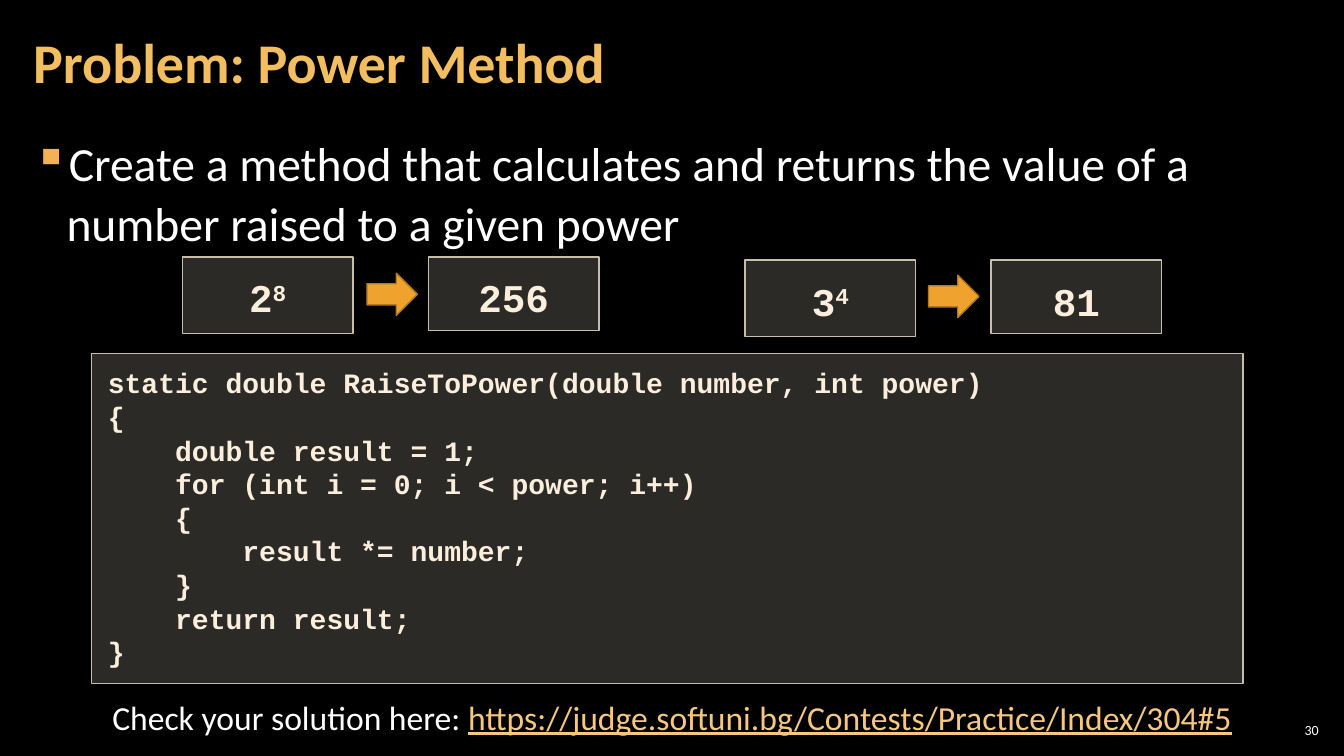
from dataclasses import dataclass

from lxml.etree import SubElement
from pptx import Presentation
from pptx.dml.color import RGBColor
from pptx.enum.shapes import MSO_SHAPE
from pptx.enum.text import MSO_ANCHOR, PP_ALIGN
from pptx.oxml.ns import qn
from pptx.util import Inches, Pt

WHITE = "FFFFFF"
CREAM = "FBEEDC"
CODE_FONT = "Courier New"
TEXT_FONT = "Calibri"


@dataclass
class Span:
    text: str
    format: dict
    color: str = WHITE
    superscript: bool = False


@dataclass
class Example:
    left: float
    top: float
    base: str
    exponent: str
    result: str
    arrow_left: float
    arrow_top: float


EXAMPLES = [
    Example(1.81, 2.55, "2", "8", "256", 3.64, 2.71),
    Example(7.39, 2.58, "3", "4", "81", 9.21, 2.73),
]
RESULT_OFFSET = 2.44

CODE = """static double RaiseToPower(double number, int power)
{
    double result = 1;
    for (int i = 0; i < power; i++)
    {
        result *= number;
    }
    return result;
}"""


def rgb(color: str) -> RGBColor:
    return RGBColor.from_string(color)


def text_format(name: str, size: float, **extra) -> dict:
    return {"name": name, "size": Pt(size), **extra}


def write(shape, lines: list[list[Span]], insets: tuple[float, float],
          anchor=MSO_ANCHOR.TOP, **paragraph_format) -> None:
    """Fill a shape with paragraphs, each a list of spans."""
    frame = shape.text_frame
    horizontal, vertical = map(Inches, insets)
    frame_format = {
        "word_wrap": True, "vertical_anchor": anchor,
        "margin_left": horizontal, "margin_right": horizontal,
        "margin_top": vertical, "margin_bottom": vertical,
    }
    for name, value in frame_format.items():
        setattr(frame, name, value)
    for index, spans in enumerate(lines):
        paragraph = frame.add_paragraph() if index else frame.paragraphs[0]
        for name, value in paragraph_format.items():
            setattr(paragraph, name, value)
        for span in spans:
            run = paragraph.add_run()
            run.text = span.text
            for name, value in span.format.items():
                setattr(run.font, name, value)
            run.font.color.rgb = rgb(span.color)
            if span.superscript:
                run._r.get_or_add_rPr().set("baseline", "30000")


def add_text(slide, box: tuple, spans: list[Span], insets: tuple[float, float],
             **options):
    shape = slide.shapes.add_textbox(*map(Inches, box))
    write(shape, [spans], insets, **options)
    return shape


def add_figure(slide, kind, box: tuple, fill: str, line: str):
    shape = slide.shapes.add_shape(kind, *map(Inches, box))
    shape.shadow.inherit = False
    shape.fill.solid()
    shape.fill.fore_color.rgb = rgb(fill)
    shape.line.color.rgb = rgb(line)
    shape.line.width = Pt(1)
    return shape


def add_panel(slide, box: tuple, lines: list[list[Span]],
              insets: tuple[float, float], **options) -> None:
    """Draw a thin-bordered rectangle with a 20 % opaque fill."""
    shape = add_figure(slide, MSO_SHAPE.RECTANGLE, box, "D9D5C7", "C7BFAC")
    fill_color = shape.fill._xPr.find(qn("a:solidFill"))[0]
    SubElement(fill_color, qn("a:alpha")).set("val", "20000")
    write(shape, lines, insets, **options)


def add_bullet(paragraph, character: str, color: str, indent: float) -> None:
    properties = paragraph._p.get_or_add_pPr()
    properties.set("marL", str(Inches(indent)))
    properties.set("indent", str(-Inches(indent)))
    bullet_color = SubElement(properties, qn("a:buClr"))
    SubElement(bullet_color, qn("a:srgbClr")).set("val", color)
    SubElement(properties, qn("a:buChar")).set("char", character)


def add_example(slide, example: Example) -> None:
    style = text_format(CODE_FONT, 28, bold=True)
    power = [Span(example.base, style, CREAM),
             Span(example.exponent, style, CREAM, superscript=True)]
    result = [Span(example.result, style, CREAM)]
    for offset, height, spans in ((0, 0.76, power), (RESULT_OFFSET, 0.73, result)):
        add_panel(slide, (example.left + offset, example.top, 1.69, height),
                  [spans], (0.2, 0.12), alignment=PP_ALIGN.CENTER, line_spacing=1.1)
    add_figure(slide, MSO_SHAPE.RIGHT_ARROW,
               (example.arrow_left, example.arrow_top, 0.5, 0.42), "F0A22E", "B27822")


def main() -> None:
    presentation = Presentation()
    presentation.slide_width = Inches(13.33)
    presentation.slide_height = Inches(7.5)
    slide = presentation.slides.add_slide(presentation.slide_layouts[6])
    slide.background.fill.solid()
    slide.background.fill.fore_color.rgb = rgb("000000")

    # Title and task
    add_text(slide, (0.21, 0.04, 10.47, 1.21),
             [Span("Problem: Power Method", text_format(TEXT_FONT, 40, bold=True), "F3BE60")],
             (0.12, 0.04), anchor=MSO_ANCHOR.MIDDLE, line_spacing=0.9)
    task = add_text(slide, (0.21, 1.26, 12.91, 6.09),
                    [Span("Create a method that calculates and returns the value of a "
                          "number raised to a given power", text_format(TEXT_FONT, 34))],
                    (0.12, 0.04), line_spacing=1.05, space_after=Pt(6))
    add_bullet(task.text_frame.paragraphs[0], "▪", "F2B254", 0.33)

    # Code listing
    code_style = text_format(CODE_FONT, 20, bold=True)
    add_panel(slide, (0.91, 3.51, 11.42, 3.27),
              [[Span(line, code_style, CREAM)] for line in CODE.splitlines()],
              (0.16, 0.12), alignment=PP_ALIGN.LEFT)

    # Worked examples
    for example in EXAMPLES:
        add_example(slide, example)

    # Solution address and slide number
    add_text(slide, (0.68, 6.86, 11.97, 0.5),
             [Span("Check your solution here: ", text_format(TEXT_FONT, 24)),
              Span("https://judge.softuni.bg/Contests/Practice/Index/304#5",
                   text_format(TEXT_FONT, 24, underline=True), "F6C781")],
             (0.1, 0.05), alignment=PP_ALIGN.CENTER)
    add_text(slide, (12.65, 7.14, 0.47, 0.21), [Span("30", text_format(TEXT_FONT, 10))],
             (0.04, 0.04), anchor=MSO_ANCHOR.MIDDLE, alignment=PP_ALIGN.RIGHT)

    presentation.save("out.pptx")


if __name__ == "__main__":
    main()
